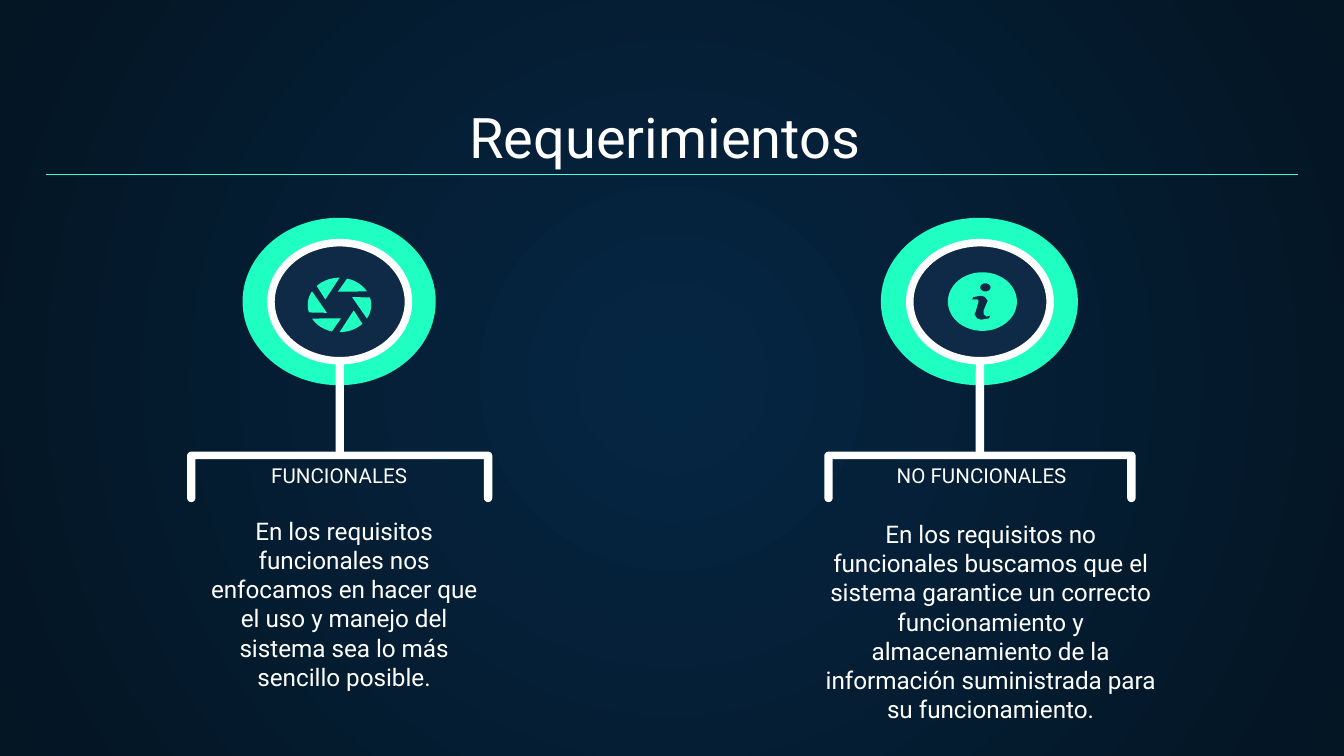
import math

from lxml import etree
from pptx import Presentation
from pptx import util as u
from pptx.dml.color import RGBColor
from pptx.enum import shapes, text
from pptx.oxml import ns

WHITE, MINT, NAVY, AQUA = "FFFFFF", "1EFFC1", "0E2A47", "48FFD5"
FONT = "Roboto"

# Outline of the letter i, in points from the centre of its disc
LETTER_STEM = [
    (-0.7, -3.2), (1.4, -2.5), (2.9, -0.4), (2.2, 1.1), (0.7, 4.7), (0.7, 6.8),
    (2.2, 8), (4.3, 7.4), (3.6, 9), (-0.7, 9.7), (-2.9, 9), (-4.3, 6.8),
    (-3.6, 5.4), (-2.2, 0.4), (-2.2, -1), (-3.6, -1.2), (-5.6, -1.1), (-5, -2.4),
]


def color(hex_string):
    return RGBColor.from_string(hex_string)


def paint(shape, fill):
    shape.shadow.inherit = False
    shape.fill.solid()
    shape.fill.fore_color.rgb = color(fill)
    shape.line.fill.background()
    return shape


def set_background(page, inner, outer):
    fill = page.background.fill
    fill.gradient()
    for stop, shade in zip(fill.gradient_stops, (inner, outer)):
        stop.color.rgb = color(shade)
    # Turn the linear gradient into one that spreads from the centre
    gradient = page.element.find(".//" + ns.qn("a:gradFill"))
    for linear in gradient.findall(ns.qn("a:lin")):
        gradient.remove(linear)
    circle = etree.SubElement(gradient, ns.qn("a:path"), path="circle")
    etree.SubElement(circle, ns.qn("a:fillToRect"),
                     {side: "50000" for side in "ltrb"})


def fill_placeholder(box, words, bounds, size, anchor):
    box.left, box.top, box.width, box.height = map(u.Pt, bounds)
    frame = box.text_frame
    frame.text = words
    frame.word_wrap = True
    frame.auto_size = text.MSO_AUTO_SIZE.NONE
    frame.vertical_anchor = anchor
    frame.margin_left = frame.margin_right = u.Pt(7.2)
    frame.margin_top = frame.margin_bottom = u.Pt(7.2)
    para = frame.paragraphs[0]
    para.alignment = text.PP_ALIGN.CENTER
    para.space_before = u.Pt(0)
    # Remove the bullet and its indent
    properties = para._p.get_or_add_pPr()
    properties.set("marL", "0")
    properties.set("indent", "0")
    etree.SubElement(properties, ns.qn("a:buNone"))
    span = para.runs[0]
    span.font.name, span.font.size, span.font.bold = FONT, u.Pt(size), False
    span.font.color.rgb = color(WHITE)


def arc(x, y, rx, ry, start, end, steps=8):
    angles = [math.radians(start + (end - start) * i / steps)
              for i in range(steps + 1)]
    return [(x + rx * math.cos(a), y + ry * math.sin(a)) for a in angles]


def add_outline(parent, contours, fill):
    contours = [[(u.Pt(x), u.Pt(y)) for x, y in points] for points in contours]
    builder = parent.build_freeform(*contours[0][0])
    for number, points in enumerate(contours):
        if number:
            builder.move_to(*points[0])
        builder.add_line_segments(points[1:], close=True)
    return paint(builder.convert_to_shape(), fill)


def add_centered(page, kind, x, top, width, height, fill):
    return paint(page.shapes.add_shape(
        kind, u.Pt(x - width / 2), u.Pt(top), u.Pt(width), u.Pt(height)), fill)


def add_bracket(page, x, width):
    left, right = x - width / 2, x + width / 2
    top, bottom, bar, r = 242, 269, 4, 2.25
    add_outline(page.shapes, [
        arc(left + r, top + r, r, r, 180, 270)
        + arc(right - r, top + r, r, r, 270, 360)
        + arc(right - r, bottom - r, r, r, 0, 180)
        + [(right - 2 * r, top + bar), (left + 2 * r, top + bar)]
        + arc(left + r, bottom - r, r, r, 0, 180)], WHITE)


def add_emblem(page, x, stretch):
    kinds = shapes.MSO_SHAPE
    add_bracket(page, x, 163.5 * stretch)
    add_centered(page, kinds.OVAL, x - 0.3, 116.7, 103.5 * stretch, 89.7, MINT)
    stem = add_centered(page, kinds.ROUNDED_RECTANGLE, x, 154.8, 4.5, 90.7, WHITE)
    stem.adjustments[0] = 0.5
    add_centered(page, kinds.OVAL, x, 129.8, 73 * stretch, 63.6, NAVY)
    ring = add_centered(page, kinds.DONUT, x, 128, 77.7 * stretch, 67.3, WHITE)
    ring.adjustments[0] = 0.06


def add_aperture(page, x, y, rx, ry):
    group = page.shapes.add_group_shape()
    for turn in range(0, 360, 60):
        # Each blade is a piece of rim and one inner corner
        rim = arc(x, y, rx, ry, turn - 136, turn - 90)
        corner = arc(x, y, rx * 0.49, ry * 0.49, turn - 156, turn - 156, 1)[:1]
        add_outline(group.shapes, [rim + corner], MINT)


def add_info(page, x, y):
    add_outline(page.shapes, [
        arc(x, y, 18.5, 15.7, 0, 360, 60),
        arc(x + 1.6, y - 7.6, 2.8, 2.2, 360, 0, 24),
        [(x + dx, y + dy) for dx, dy in LETTER_STEM]], MINT)


def add_rule(page, left, right, y):
    rule = page.shapes.add_connector(shapes.MSO_CONNECTOR.STRAIGHT,
                                     u.Pt(left), u.Pt(y), u.Pt(right), u.Pt(y))
    rule.line.color.rgb = color(AQUA)
    rule.line.width = u.Pt(0.75)
    etree.SubElement(rule.element.spPr, ns.qn("a:effectLst"))


def main():
    deck = Presentation()
    deck.slide_width, deck.slide_height = u.Pt(720), u.Pt(405)
    page = deck.slides.add_slide(deck.slide_layouts[4])
    set_background(page, "052643", "041523")

    # Title, then a label and a description for each kind of requirement
    top, bottom = text.MSO_ANCHOR.TOP, text.MSO_ANCHOR.BOTTOM
    texts = [
        ("Requerimientos ", (24.5, 50.4, 671, 47.5), 30, bottom),
        ("FUNCIONALES", (100, 253.4, 163.5, 15.1), 11, bottom),
        ("En los requisitos funcionales nos enfocamos en hacer que el uso y "
         "manejo del sistema sea lo más sencillo posible.",
         (105.1, 269.3, 158.4, 107.3), 13, top),
        ("NO FUNCIONALES", (444.2, 253.4, 163.5, 15.1), 11, bottom),
        ("En los requisitos no funcionales buscamos que el sistema garantice "
         "un correcto funcionamiento y almacenamiento de la información "
         "suministrada para su funcionamiento.",
         (434.9, 271, 191.5, 103.7), 13, top),
    ]
    for box, content in zip(list(page.placeholders), texts):
        fill_placeholder(box, *content)

    # Emblems with their icons
    add_emblem(page, 182, 1)
    add_emblem(page, 525, 1.02)
    add_aperture(page, 181.9, 163.4, 17, 14.6)
    add_info(page, 526.3, 161.6)

    # Line under the title
    add_rule(page, 24.5, 695.5, 93.6)
    deck.save("out.pptx")


if __name__ == "__main__":
    main()
